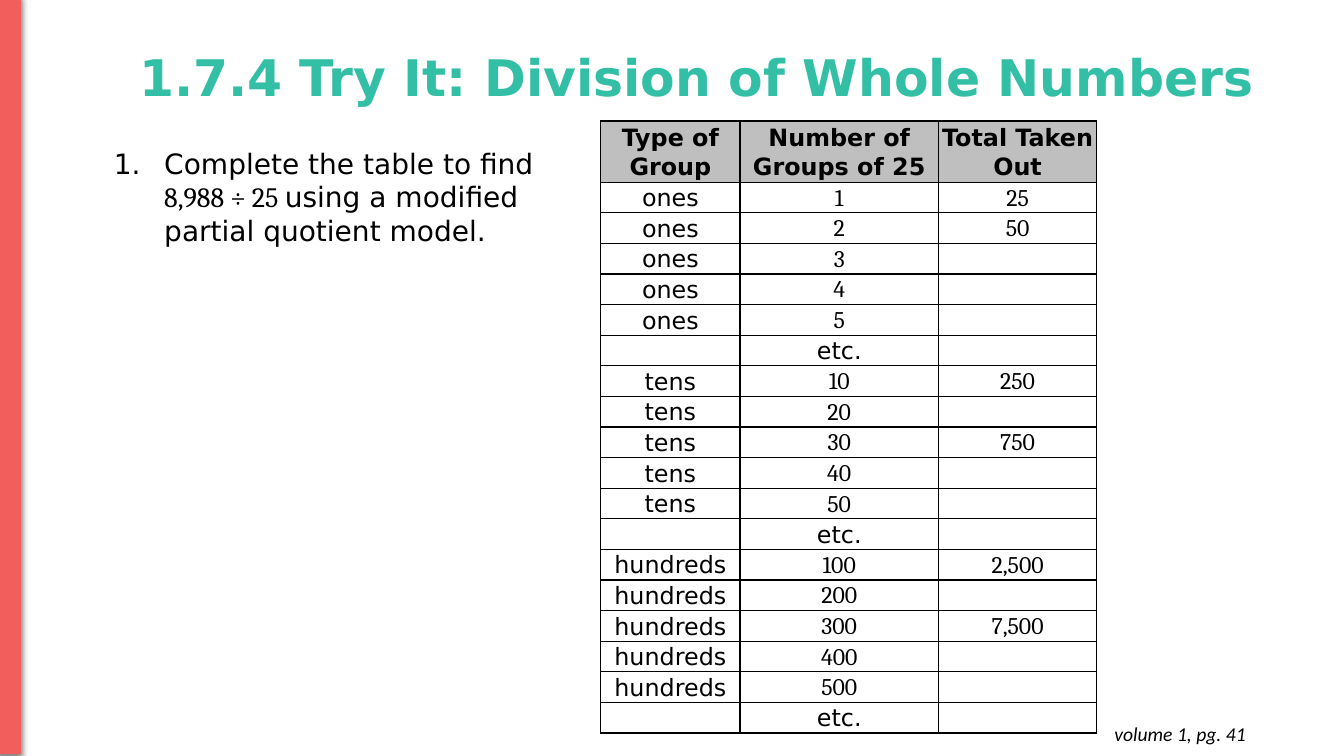
from pptx import Presentation
from pptx.dml.color import RGBColor
from pptx.enum.shapes import MSO_SHAPE as Shape
from pptx.enum.text import MSO_ANCHOR as Anchor, MSO_AUTO_SIZE as AutoSize, PP_ALIGN as Align
from pptx.oxml import parse_xml
from pptx.util import Cm, Pt

SANS, SERIF = "DejaVu Sans", "Cambria"
BLACK, CORAL, TEAL, GREY = "000000", "F25E5B", "33BEA6", "BFBFBF"
NS = 'xmlns:a="http://schemas.openxmlformats.org/drawingml/2006/main"'


def color(value):
    return RGBColor.from_string(value)


def write(para, text, size, font=SANS, ink=BLACK, bold=False, italic=False, align=Align.LEFT, spacing=None):
    para.alignment = align
    if spacing:
        para.line_spacing = spacing
    span = para.add_run()
    span.text = text
    span.font.name, span.font.size = font, Pt(size)
    span.font.bold, span.font.italic = bold, italic
    span.font.color.rgb = color(ink)


deck = Presentation()
deck.slide_width, deck.slide_height = Cm(33.87), Cm(19.05)
page = deck.slides.add_slide(deck.slide_layouts[5])

# Title
title = page.shapes.title
title.left, title.top, title.width, title.height = Cm(3.25), Cm(0.18), Cm(30.6), Cm(3.68)
title.text_frame.auto_size = AutoSize.NONE
title.text_frame.vertical_anchor = Anchor.MIDDLE
write(title.text_frame.paragraphs[0], "1.7.4 Try It: Division of Whole Numbers", 36,
      ink=TEAL, bold=True, spacing=0.9)

# Volume reference
reference = page.shapes.add_textbox(Cm(24.33), Cm(17.93), Cm(7.32), Cm(1.12)).text_frame
reference.word_wrap = True
reference.margin_top = reference.margin_bottom = Cm(0.25)
write(reference.paragraphs[0], "volume 1, pg. 41", 14, font="Calibri", italic=True, align=Align.RIGHT)

# Numbered task
task = page.shapes.add_textbox(Cm(2.62), Cm(3.56), Cm(12.07), Cm(3.84)).text_frame
task.word_wrap = True
para = task.paragraphs[0]
para_format = para._p.get_or_add_pPr()
para_format.set("marL", str(Cm(1.27)))
para_format.set("indent", str(Cm(-1.27)))
para_format.append(parse_xml(f'<a:buClr {NS}><a:srgbClr val="{BLACK}"/></a:buClr>'))
para_format.append(parse_xml(f'<a:buFont {NS} typeface="{SANS}"/>'))
para_format.append(parse_xml(f'<a:buAutoNum {NS} type="arabicPeriod"/>'))
write(para, "Complete the table to find ", 20)
write(para, "8,988 ÷ 25 ", 20, font=SERIF)
write(para, "using a modified partial quotient model.", 20)

# Side bar with a soft shadow
bar = page.shapes.add_shape(Shape.RECTANGLE, Cm(-0.08), Cm(-0.1), Cm(0.61), Cm(19.08))
bar.fill.solid()
bar.fill.fore_color.rgb = color(CORAL)
bar.line.color.rgb = color(CORAL)
bar.line.width = Pt(0.75)
bar.shadow.inherit = False
bar._element.spPr.find("{*}effectLst").append(parse_xml(
    f'<a:outerShdw {NS} blurRad="{Pt(4.5)}" dist="{Pt(1.5)}" dir="5400000" algn="t" rotWithShape="0">'
    f'<a:srgbClr val="{BLACK}"><a:alpha val="50000"/></a:srgbClr></a:outerShdw>'))

# Table rows: five multiples of each place value, then "etc."
totals = {1: "25", 2: "50", 10: "250", 30: "750", 100: "2,500", 300: "7,500"}
rows = [("Type of Group", "Number of Groups of 25", "Total Taken Out")]
for group, unit in (("ones", 1), ("tens", 10), ("hundreds", 100)):
    for count in range(unit, 6 * unit, unit):
        rows.append((group, str(count), totals.get(count, "")))
    rows.append(("", "etc.", ""))

widths = (3.51, 5.0, 3.99)
header_height, row_height = 1.54, 0.77
table = page.shapes.add_table(len(rows), len(widths), Cm(15.14), Cm(3.05), Cm(sum(widths)),
                              Cm(header_height + row_height * (len(rows) - 1))).table
table.first_row = table.horz_banding = False
for column, width in zip(table.columns, widths):
    column.width = Cm(width)

for r, values in enumerate(rows):
    table.rows[r].height = Cm(row_height if r else header_height)
    for c, value in enumerate(values):
        cell = table.cell(r, c)
        cell.margin_left = cell.margin_right = cell.margin_top = cell.margin_bottom = 0
        cell.vertical_anchor = Anchor.MIDDLE
        para = cell.text_frame.paragraphs[0]
        if value:
            font = SERIF if value[0].isdigit() else SANS
            write(para, value, 17, font=font, bold=r == 0, align=Align.CENTER, spacing=1.07)
        else:
            para._p.append(parse_xml(f'<a:endParaRPr {NS} sz="1700"/>'))
        if r == 0:
            cell.fill.solid()
            cell.fill.fore_color.rgb = color(GREY)
        else:
            cell.fill.background()
        # Borders come before the fill
        for place, side in enumerate("LRTB"):
            cell._tc.get_or_add_tcPr().insert(place, parse_xml(
                f'<a:ln{side} {NS} w="{Pt(1)}"><a:solidFill><a:srgbClr val="{BLACK}"/></a:solidFill></a:ln{side}>'))

deck.save("out.pptx")
